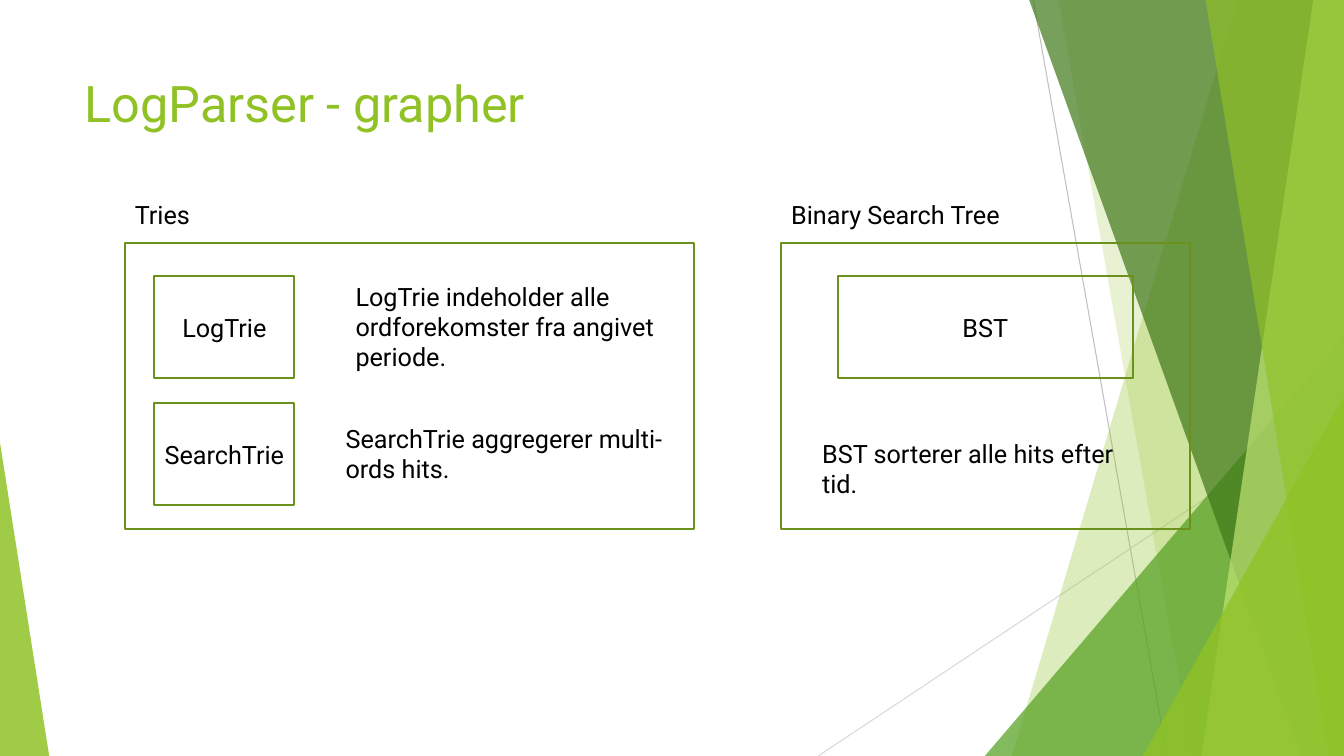
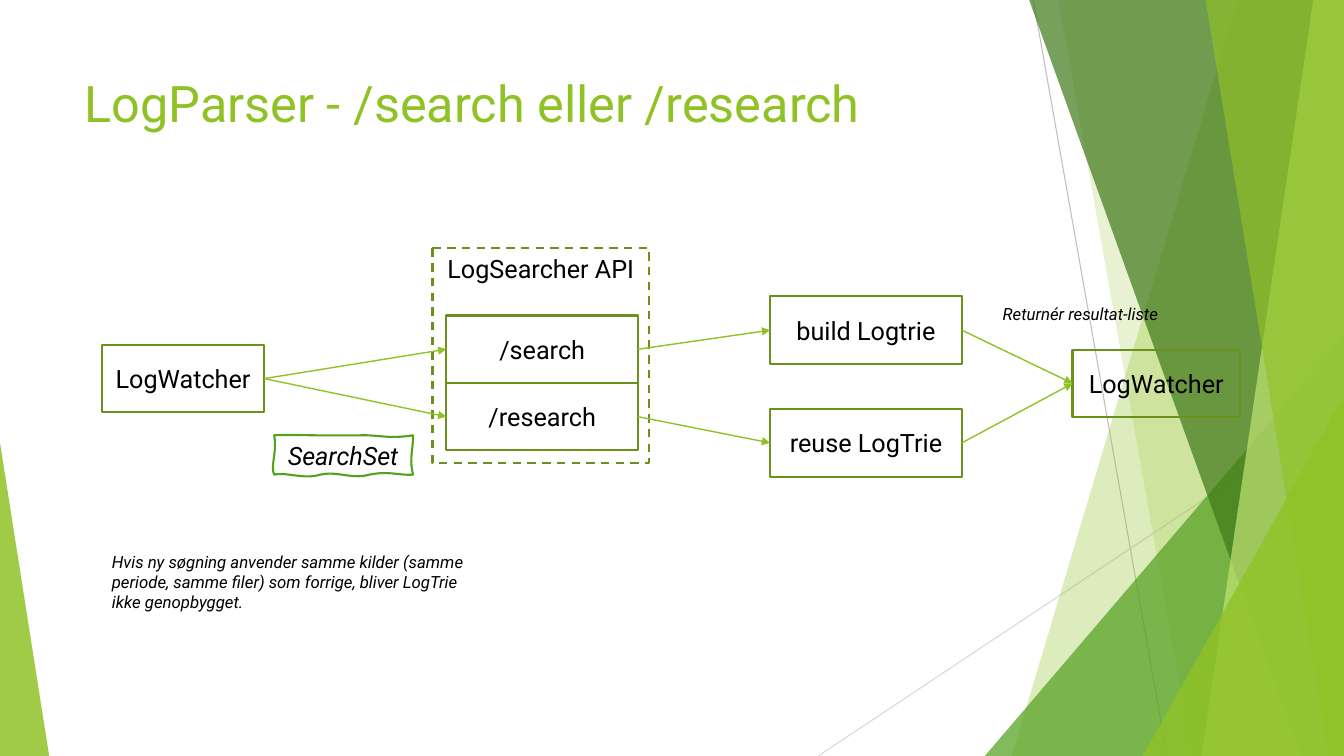
"""Build two LogParser slides: the search structures and the search flow."""
from dataclasses import dataclass
from typing import Optional, Union

from lxml import etree
from pptx import Presentation
from pptx import util as u
from pptx.dml.color import RGBColor
from pptx.enum import dml, shapes, text
from pptx.oxml.ns import qn


@dataclass(frozen=True)
class Theme:
    font: str = "Roboto"
    title_size: int = 36
    body_size: int = 18
    note_size: int = 12
    frame_line: float = 1.5
    arrow_line: float = 1
    guide_line: float = 0.75
    ink: str = "000000"
    lime: str = "90C226"
    green: str = "54A021"
    forest: str = "3F7819"
    pale: str = "C0E474"
    olive: str = "6B901C"
    grey: str = "BFBFBF"
    light_grey: str = "D9D9D9"


@dataclass(frozen=True)
class Band:
    top_x: float
    bottom_x: float
    color: str
    opacity: int


@dataclass(frozen=True)
class Wedge:
    left: float
    top: float
    width: float
    apex: float
    color: str
    opacity: int


@dataclass(frozen=True)
class Guide:
    start: tuple[float, float]
    end: tuple[float, float]
    color: str


@dataclass(frozen=True)
class Box:
    left: float
    top: float
    width: float
    height: float
    label: str = ""
    dashed: bool = False


@dataclass(frozen=True)
class Note:
    left: float
    top: float
    width: float
    height: float
    label: str
    small: bool = False


THEME = Theme()
WIDTH, HEIGHT = 33.87, 19.05
BLEED = -0.02
FRAME_TOP, FRAME_HEIGHT = 6.12, 7.21
TREE_TOP, TREE_HEIGHT = 6.96, 2.57
STEP_WIDTH, STEP_HEIGHT = 4.83, 1.7
CURVE_STEPS = 10

GUIDES = (
    Guide((26.04, 0), (29.41, HEIGHT), THEME.grey),
    Guide((WIDTH, 10.24), (20.62, HEIGHT), THEME.light_grey),
)
FACETS: tuple[Union[Band, Wedge], ...] = (
    Band(31.19, 25.5, THEME.lime, 30),
    Band(26.67, 30.05, THEME.lime, 20),
    Wedge(24.82, 8.46, 9.05, 1, THEME.green, 72),
    Band(25.93, 32.79, THEME.forest, 70),
    Band(33.1, 30.28, THEME.pale, 70),
    Band(30.38, 33.48, THEME.lime, 65),
    Wedge(28.8, 9.98, 5.07, 1, THEME.lime, 80),
    Wedge(0, 11.15, 1.24, 0, THEME.lime, 85),
)
STRUCTURES = (
    Box(3.15, FRAME_TOP, 14.33, FRAME_HEIGHT),
    Box(3.89, TREE_TOP, 3.53, TREE_HEIGHT, "LogTrie"),
    Box(3.89, TREE_TOP + 3.2, 3.53, TREE_HEIGHT, "SearchTrie"),
    Box(19.69, FRAME_TOP, 10.29, FRAME_HEIGHT),
    Box(21.11, TREE_TOP, 7.44, TREE_HEIGHT, "BST"),
)
STRUCTURE_NOTES = (
    Note(3.15, 4.9, 4.27, 1.02, "Tries"),
    Note(19.69, 4.9, 6.71, 1.02, "Binary Search Tree"),
    Note(8.71, 6.96, 8.74, 2.57, "LogTrie indeholder alle ordforekomster fra angivet periode."),
    Note(8.46, 10.54, 8.74, 1.8, "SearchTrie aggregerer multi-ords hits."),
    Note(20.47, 10.92, 8.74, 1.8, "BST sorterer alle hits efter tid."),
)
API = Box(10.9, 6.25, 5.46, 5.41, "LogSearcher API", dashed=True)
STEPS = {
    "sender": Box(2.57, 8.69, 4.09, STEP_HEIGHT, "LogWatcher"),
    "search": Box(11.25, 7.95, STEP_WIDTH, STEP_HEIGHT, "/search"),
    "research": Box(11.25, 7.95 + STEP_HEIGHT, STEP_WIDTH, STEP_HEIGHT, "/research"),
    "build": Box(19.41, 7.47, STEP_WIDTH, STEP_HEIGHT, "build Logtrie"),
    "reuse": Box(19.41, 10.31, STEP_WIDTH, STEP_HEIGHT, "reuse LogTrie"),
    "receiver": Box(27.03, 8.81, 4.22, STEP_HEIGHT, "LogWatcher"),
}
ARROWS = (
    ("sender", "search"), ("sender", "research"),
    ("search", "build"), ("research", "reuse"),
    ("build", "receiver"), ("reuse", "receiver"),
)
FLOW_NOTES = (
    Note(2.57, 13.77, 9.45, 1.8,
         "Hvis ny søgning anvender samme kilder (samme periode, samme filer) "
         "som forrige, bliver LogTrie ikke genopbygget.", small=True),
    Note(25.02, 7.54, 5.05, 0.76, "Returnér resultat-liste", small=True),
)
PAPER_START = (6.91, 10.97)
PAPER_CURVES = (
    ((7.24, 10.95), (7.75, 10.97), (8.05, 10.97)),
    ((8.36, 10.97), (8.74, 10.97), (9.09, 10.97)),
    ((9.47, 10.95), (9.8, 11.07), (10.41, 10.97)),
    ((10.41, 11.35), (10.31, 11.56), (10.41, 11.96)),
    ((10.11, 11.99), (9.78, 11.86), (9.32, 11.96)),
    ((8.86, 12.09), (8.51, 11.86), (8.08, 11.96)),
    ((7.65, 12.09), (7.24, 11.89), (6.91, 11.96)),
    ((6.81, 11.73), (6.99, 11.4), PAPER_START),
)


def rgb(color: str) -> RGBColor:
    return RGBColor.from_string(color)


def write(shape, label: str, size: int, color: str = THEME.ink,
          align=text.PP_ALIGN.LEFT, italic: Optional[bool] = None) -> None:
    shape.text_frame.text = label
    for para in shape.text_frame.paragraphs:
        para.alignment = align
        for span in para.runs:
            span.font.name = THEME.font
            span.font.size = u.Pt(size)
            span.font.color.rgb = rgb(color)
            span.font.italic = italic


def outline(shape, color: str) -> None:
    shape.shadow.inherit = False
    shape.fill.background()
    shape.line.color.rgb = rgb(color)
    shape.line.width = u.Pt(THEME.frame_line)


def tint(shape, color: str, opacity: int) -> None:
    shape.shadow.inherit = False
    shape.fill.solid()
    shape.fill.fore_color.rgb = rgb(color)
    shade = shape.element.spPr.find(qn("a:solidFill")).find(qn("a:srgbClr"))
    etree.SubElement(shade, qn("a:alpha"), val=str(opacity * 1000))
    shape.line.fill.background()


def add_polygon(canvas, points: list[tuple[float, float]]):
    corners = [(u.Cm(x), u.Cm(y)) for x, y in points]
    builder = canvas.build_freeform(*corners[0])
    builder.add_line_segments(corners[1:], close=True)
    return builder.convert_to_shape()


def add_line(canvas, start: tuple[float, float], end: tuple[float, float],
             color: str, width: float):
    line = canvas.add_connector(shapes.MSO_CONNECTOR.STRAIGHT,
                                *(u.Cm(length) for length in start + end))
    line.line.color.rgb = rgb(color)
    line.line.width = u.Pt(width)
    etree.SubElement(line.element.spPr, qn("a:effectLst"))
    return line


def add_facet(canvas, facet: Union[Band, Wedge]) -> None:
    if isinstance(facet, Band):
        shape = add_polygon(canvas, [(facet.top_x, BLEED), (WIDTH, BLEED),
                                     (WIDTH, HEIGHT), (facet.bottom_x, HEIGHT)])
    else:
        shape = canvas.add_shape(shapes.MSO_SHAPE.ISOSCELES_TRIANGLE,
                                 u.Cm(facet.left), u.Cm(facet.top),
                                 u.Cm(facet.width), u.Cm(HEIGHT - facet.top))
        shape.adjustments[0] = facet.apex
    tint(shape, facet.color, facet.opacity)


def add_backdrop(page, layout) -> None:
    group = page.shapes.add_group_shape()
    for guide in GUIDES:
        add_line(group.shapes, guide.start, guide.end, guide.color, THEME.guide_line)
    for facet in FACETS:
        add_facet(group.shapes, facet)
    for number, node in enumerate(group.element.iter(qn("p:cNvPr")), 100):
        node.set("id", str(number))
    layout.shapes.element.insert(2, group.element)


def place_title(layout) -> None:
    title = layout.placeholders[0]
    title.left, title.top = u.Cm(1.88), u.Cm(1.7)
    title.width, title.height = u.Cm(23.88), u.Cm(3.66)


def set_title(page, label: str) -> None:
    title = page.shapes.title
    write(title, label, THEME.title_size, THEME.lime)
    title.text_frame.vertical_anchor = text.MSO_ANCHOR.TOP
    title.text_frame.auto_size = text.MSO_AUTO_SIZE.NONE


def add_box(page, box: Box):
    shape = page.shapes.add_shape(shapes.MSO_SHAPE.FLOWCHART_PROCESS,
                                  u.Cm(box.left), u.Cm(box.top),
                                  u.Cm(box.width), u.Cm(box.height))
    outline(shape, THEME.olive)
    if box.label:
        write(shape, box.label, THEME.body_size, align=text.PP_ALIGN.CENTER)
    if box.dashed:
        shape.line.dash_style = dml.MSO_LINE.DASH
        shape.text_frame.vertical_anchor = text.MSO_ANCHOR.TOP
    return shape


def add_note(page, note: Note) -> None:
    shape = page.shapes.add_textbox(u.Cm(note.left), u.Cm(note.top),
                                    u.Cm(note.width), u.Cm(note.height))
    shape.text_frame.word_wrap = True
    shape.text_frame.auto_size = text.MSO_AUTO_SIZE.SHAPE_TO_FIT_TEXT
    size = THEME.note_size if note.small else THEME.body_size
    write(shape, note.label, size, italic=note.small or None)


def add_arrow(page, source, target) -> None:
    arrow = add_line(page.shapes, (0, 0), (1, 1), THEME.lime, THEME.arrow_line)
    arrow.begin_connect(source, 3)
    arrow.end_connect(target, 1)
    etree.SubElement(arrow.element.spPr.find(qn("a:ln")), qn("a:tailEnd"), type="triangle")


def curve_point(points: tuple, t: float) -> tuple[float, float]:
    weights = ((1 - t) ** 3, 3 * t * (1 - t) ** 2, 3 * t * t * (1 - t), t ** 3)
    x, y = (sum(w * p[axis] for w, p in zip(weights, points)) for axis in (0, 1))
    return x, y


def add_paper(page, label: str) -> None:
    points = [PAPER_START]
    for curve in PAPER_CURVES:
        controls = (points[-1], *curve)
        points += [curve_point(controls, step / CURVE_STEPS)
                   for step in range(1, CURVE_STEPS + 1)]
    paper = add_polygon(page.shapes, points)
    outline(paper, THEME.green)
    write(paper, label, THEME.body_size, align=text.PP_ALIGN.CENTER, italic=True)


def fill_structures(page) -> None:
    set_title(page, "LogParser - grapher")
    for box in STRUCTURES:
        add_box(page, box)
    for note in STRUCTURE_NOTES:
        add_note(page, note)


def fill_flow(page) -> None:
    set_title(page, "LogParser - /search eller /research")
    add_box(page, API)
    steps = {name: add_box(page, box) for name, box in STEPS.items()}
    for source, target in ARROWS:
        add_arrow(page, steps[source], steps[target])
    add_paper(page, "SearchSet")
    for note in FLOW_NOTES:
        add_note(page, note)


def main() -> None:
    deck = Presentation()
    deck.slide_width, deck.slide_height = u.Cm(WIDTH), u.Cm(HEIGHT)
    layout = deck.slide_layouts.get_by_name("Title Only")
    place_title(layout)
    first, second = (deck.slides.add_slide(layout) for _ in range(2))
    add_backdrop(first, layout)
    fill_structures(first)
    fill_flow(second)
    deck.save("out.pptx")


main()
